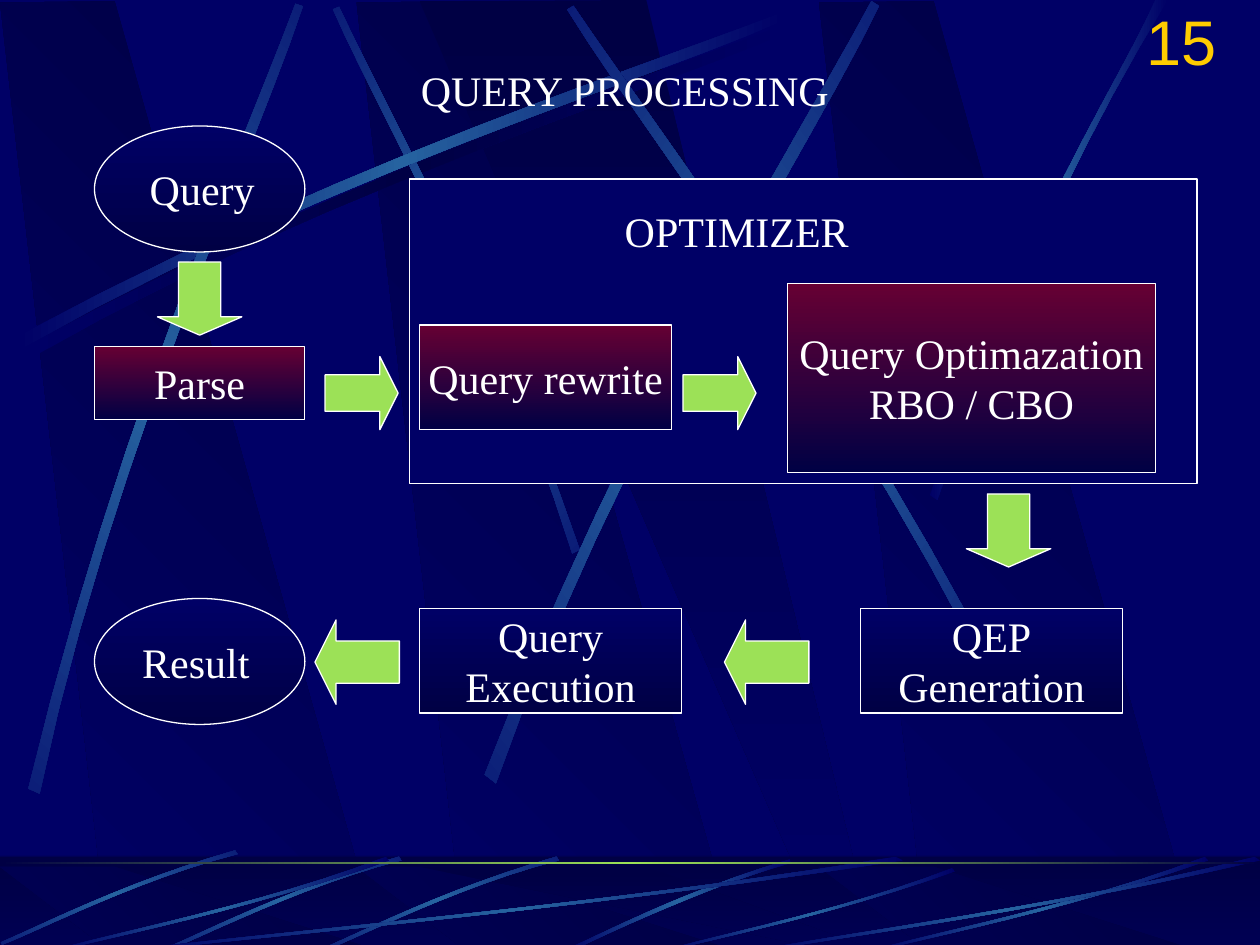
import copy
import math
from pptx import Presentation, util as u
from pptx.dml.color import RGBColor
from pptx.enum import shapes, text
from pptx.oxml.ns import qn
from lxml import etree

Inches = u.Inches
rgb = RGBColor.from_string
SHAPE, ALIGN, ANCHOR = shapes.MSO_SHAPE, text.PP_ALIGN, text.MSO_ANCHOR
NAVY, DARK, STEEL, WINE = "000066", "000044", "2663A0", "660033"
GREEN, WHITE, GOLD = "9CE157", "FFFFFF", "FFCC00"


def paint(sp, colors, angle=0, line=None):
    sp.shadow.inherit = False
    if len(colors) == 1:
        sp.fill.solid()
        sp.fill.fore_color.rgb = rgb(colors[0])
    else:
        sp.fill.gradient()
        sp.fill.gradient_angle = -angle % 360
        stops = next(sp._element.iter(qn("a:gsLst")))
        for _ in colors[2:]:
            stops.append(copy.deepcopy(stops[0]))
        for i, (stop, color) in enumerate(zip(sp.fill.gradient_stops, colors)):
            stop.color.rgb = rgb(color)
            stop.position = i / (len(colors) - 1)
    if line:
        sp.line.color.rgb = rgb(line)
        sp.line.width = u.Pt(0.75)
    else:
        sp.line.fill.background()


def write(sp, lines, align, anchor, size=24, font="Times New Roman", color=WHITE, wrap=False):
    tf = sp.text_frame
    tf.word_wrap = wrap
    tf.vertical_anchor = anchor
    tf.margin_left = tf.margin_right = Inches(0.1)
    tf.margin_top = tf.margin_bottom = Inches(0.05)
    for i, line in enumerate(lines):
        p = tf.add_paragraph() if i else tf.paragraphs[0]
        p.alignment = align
        r = p.add_run()
        r.text = line
        r.font.size = u.Pt(size)
        r.font.name = font
        r.font.color.rgb = rgb(color)


prs = Presentation()
prs.slide_width, prs.slide_height = Inches(10), Inches(7.5)
s = prs.slides.add_slide(prs.slide_layouts[5])
s.background.fill.solid()
s.background.fill.fore_color.rgb = rgb(NAVY)

upper_slab = [(0.86, 7.51), (3.02, 7.52), (0.91, 0.01), (0, 0.02)]
lower_slab = [(0.86, 7.54), (3.02, 7.55), (0.91, 6.88), (0, 6.88)]
upper_beam = [(3.33, 0.01), (6.58, 7.51), (6.94, 7.51), (5.13, 0)]
lower_beam = [(3.33, 6.88), (6.58, 7.54), (6.94, 7.54), (5.13, 6.88)]
slab_lefts = (2.83, 0, 6.5)

glow = [NAVY, STEEL, NAVY]
ray = [(0.14, 2.67), (2.78, 1.25), (5.18, 0.51), (6.2, 0.1),
       (6.23, 0.16), (5.22, 0.61), (2.48, 1.43), (0.17, 2.77)]
upper_streaks = [
    (0, [NAVY, DARK, NAVY], [(x + 0.06, y + 0.08) for x, y in ray]),
    (45, glow, [(4.6, 4.36), (3.91, 2.34), (3.02, 0.77), (2.69, 0.05),
                (2.64, 0.07), (2.95, 0.79), (3.98, 2.58), (4.54, 4.39)]),
    (0, glow, ray),
    (311.7, glow, [(0.23, 6.25), (0.93, 3.34), (1.97, 1.05), (2.35, 0.02),
                   (2.41, 0.04), (2.07, 1.08), (0.86, 3.68), (0.32, 6.29)]),
    (321.6, glow, [(3.85, 6.14), (4.98, 3.2), (6.38, 1.02), (6.92, 0),
                   (6.98, 0.04), (6.49, 1.08), (4.86, 3.55), (3.94, 6.21)]),
    (34.8, glow, [(8.06, 5.6), (6.7, 2.93), (5.16, 0.95), (4.55, 0.04),
                  (4.5, 0.07), (5.07, 1.01), (6.85, 3.25), (7.99, 5.66)]),
    (0, glow, [(7.38, 3.93), (8.14, 1.73), (8.88, 0.66), (9.17, 0),
               (9.27, 0), (8.36, 1.45), (7.69, 3.22), (7.44, 3.97)]),
]
short = [(4.42, 6.8), (3.55, 7.05), (2.87, 7.4), (2.56, 7.53),
         (2.57, 7.55), (2.88, 7.43), (3.65, 7.03), (4.44, 6.83)]
sweep = [(1, 0.04), (0.57, 0.57), (0.17, 0.85), (0.01, 1),
         (0, 0.99), (0.17, 0.81), (0.62, 0.51), (0.99, 0)]
lower_streaks = [(0, glow, [(6.27, 6.82), (5.37, 7.09), (4.77, 7.42), (4.48, 7.54),
                            (4.53, 7.55), (4.9, 7.37), (5.71, 7), (6.28, 6.85)])]
for dx, dy in [(0, 0), (-1.25, 0), (-2.55, -0.05)]:
    lower_streaks.append((314.9, glow, [(x + dx, y + dy) for x, y in short]))
for left, top, width in [(1, 6.8, 6.17), (0.42, 6.8, 2.67), (5.27, 6.89, 2.31),
                         (6.92, 6.8, 2.67), (6, 6.8, 4)]:
    lower_streaks.append((0, glow, [(left + x * width, top + y * (7.55 - top)) for x, y in sweep]))

for slab, beam, streaks in [(upper_slab, upper_beam, upper_streaks),
                            (lower_slab, lower_beam, lower_streaks)]:
    if slab is lower_slab:
        sp = s.shapes.add_shape(SHAPE.RECTANGLE, 0, Inches(6.8), Inches(10), Inches(0.75))
        paint(sp, [DARK, NAVY], 90)
    outlines = [(0, [DARK, NAVY], 135, [(x + left, y) for x, y in slab]) for left in slab_lefts]
    outlines.append((0, [DARK, NAVY], 90, beam))
    for rotation, colors, pts in streaks:
        curve = []
        for a, b, c, d in (pts[:4], pts[4:]):
            for t in [n / 12 for n in range(13)]:
                weights = ((1 - t) ** 3, 3 * t * (1 - t) ** 2, 3 * t * t * (1 - t), t ** 3)
                curve.append(tuple(sum(w * q[k] for w, q in zip(weights, (a, b, c, d))) for k in (0, 1)))
        outlines.append((rotation, colors, 180, curve))
    for i, (rotation, colors, angle, pts) in enumerate(outlines):
        if slab is lower_slab and i == 4:
            sp = s.shapes.add_shape(SHAPE.RECTANGLE, 0, Inches(6.79), Inches(10), Inches(0.75))
            paint(sp, [DARK])
            color = next(sp._element.spPr.iter(qn("a:srgbClr")))
            etree.SubElement(color, qn("a:alpha")).set("val", "50000")
        xs, ys = zip(*pts)
        cx, cy = (min(xs) + max(xs)) / 2, (min(ys) + max(ys)) / 2
        cos, sin = math.cos(math.radians(rotation)), math.sin(math.radians(rotation))
        flat = [(Inches(cx + (x - cx) * cos + (y - cy) * sin),
                 Inches(cy - (x - cx) * sin + (y - cy) * cos)) for x, y in pts]
        fb = s.shapes.build_freeform(*flat[0])
        fb.add_line_segments(flat[1:], close=True)
        sp = fb.convert_to_shape()
        sp.rotation = rotation
        paint(sp, colors, angle)

sp = s.shapes.add_shape(SHAPE.RECTANGLE, 0, Inches(6.84), Inches(10), Inches(0.02))
paint(sp, [DARK, GREEN, DARK], 180)

blue, red = [NAVY, DARK], [WINE, DARK]
boxes = [
    (SHAPE.RECTANGLE, 3.25, 1.42, 6.25, 2.42, [NAVY], []),
    (SHAPE.RECTANGLE, 3.33, 2.58, 2, 0.83, red, ["Query rewrite"]),
    (SHAPE.RECTANGLE, 0.75, 2.75, 1.67, 0.58, red, ["Parse"]),
    (SHAPE.RECTANGLE, 6.25, 2.25, 2.92, 1.5, red, ["Query Optimazation", "RBO / CBO"]),
    (SHAPE.RECTANGLE, 3.33, 4.83, 2.08, 0.83, blue, ["Query", "Execution"]),
    (SHAPE.RECTANGLE, 6.83, 4.83, 2.08, 0.83, blue, ["QEP", "Generation"]),
    (SHAPE.RIGHT_ARROW, 2.58, 2.83, 0.58, 0.58, [GREEN], []),
    (SHAPE.RIGHT_ARROW, 5.42, 2.83, 0.58, 0.58, [GREEN], []),
    (SHAPE.DOWN_ARROW, 7.67, 3.92, 0.67, 0.58, [GREEN], []),
    (SHAPE.LEFT_ARROW, 5.75, 4.92, 0.67, 0.67, [GREEN], []),
    (SHAPE.LEFT_ARROW, 2.5, 4.92, 0.67, 0.67, [GREEN], []),
    (SHAPE.DOWN_ARROW, 1.25, 2.08, 0.67, 0.58, [GREEN], []),
    (SHAPE.OVAL, 0.75, 4.75, 1.67, 1, blue, []),
    (SHAPE.OVAL, 0.75, 1, 1.67, 1, blue, []),
]
for kind, left, top, width, height, colors, lines in boxes:
    sp = s.shapes.add_shape(kind, Inches(left), Inches(top), Inches(width), Inches(height))
    paint(sp, colors, 90, WHITE)
    if colors == [GREEN]:
        sp.adjustments[0], sp.adjustments[1] = 0.5, 0.25
    if lines:
        write(sp, lines, ALIGN.CENTER, ANCHOR.MIDDLE)

for label, left, top, width in [("OPTIMIZER", 4.86, 1.58, 1.98), ("Query", 1.09, 1.25, 1.03),
                                ("Result", 1.03, 5, 1.05)]:
    sp = s.shapes.add_textbox(Inches(left), Inches(top), Inches(width), Inches(0.5))
    write(sp, [label], ALIGN.LEFT, ANCHOR.TOP)
    sp.text_frame.auto_size = text.MSO_AUTO_SIZE.SHAPE_TO_FIT_TEXT

title = s.shapes.title
title.left, title.top, title.width, title.height = Inches(3.24), Inches(0.46), Inches(3.47), Inches(0.5)
write(title, ["QUERY PROCESSING"], ALIGN.LEFT, ANCHOR.TOP)
title.text_frame.auto_size = text.MSO_AUTO_SIZE.SHAPE_TO_FIT_TEXT
s.shapes._spTree.append(title._element)

sp = s.shapes.add_textbox(Inches(7.67), Inches(0.17), Inches(2.08), Inches(0.5))
write(sp, ["15"], ALIGN.RIGHT, ANCHOR.BOTTOM, 36, "Arial", GOLD, True)

prs.save("out.pptx")
